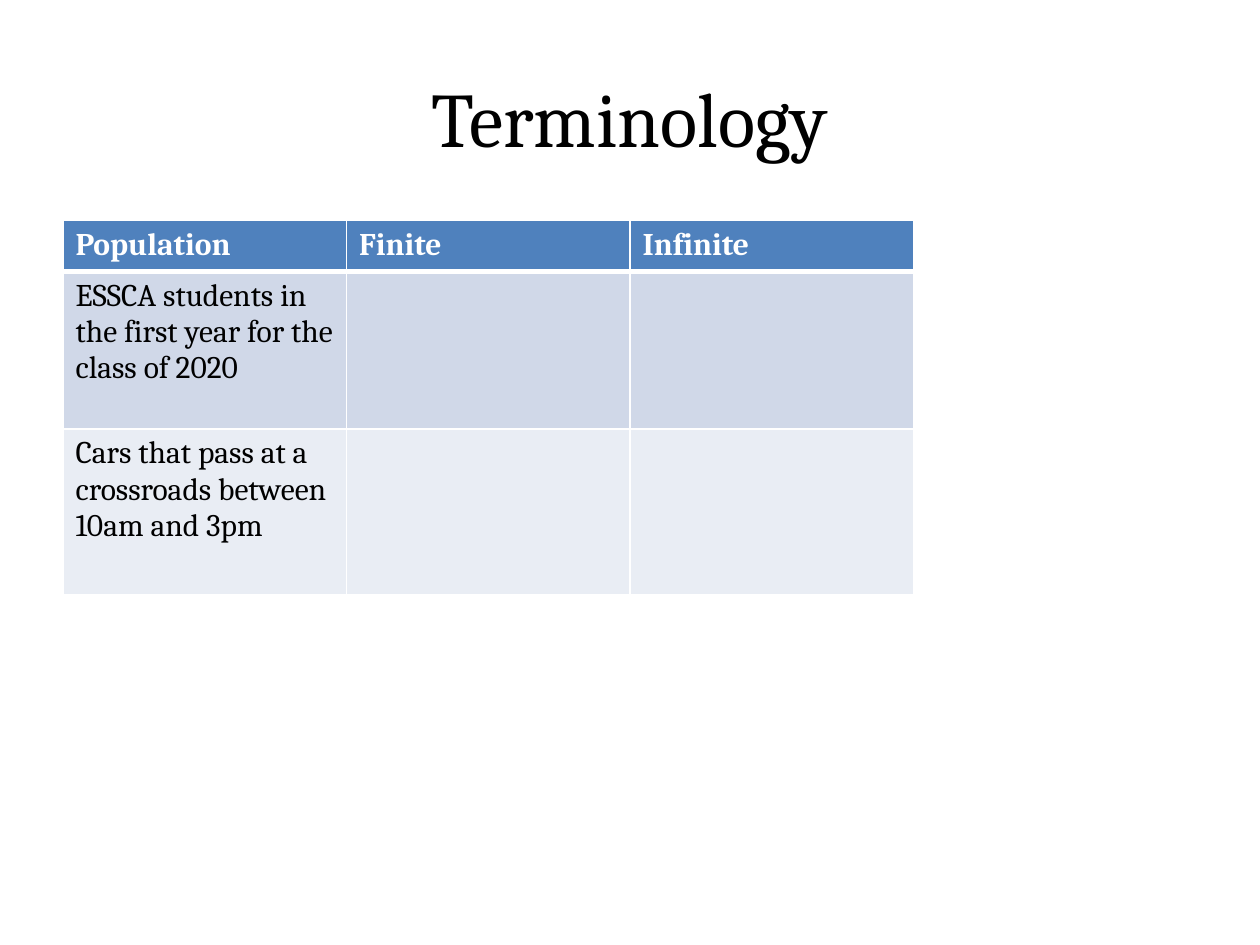
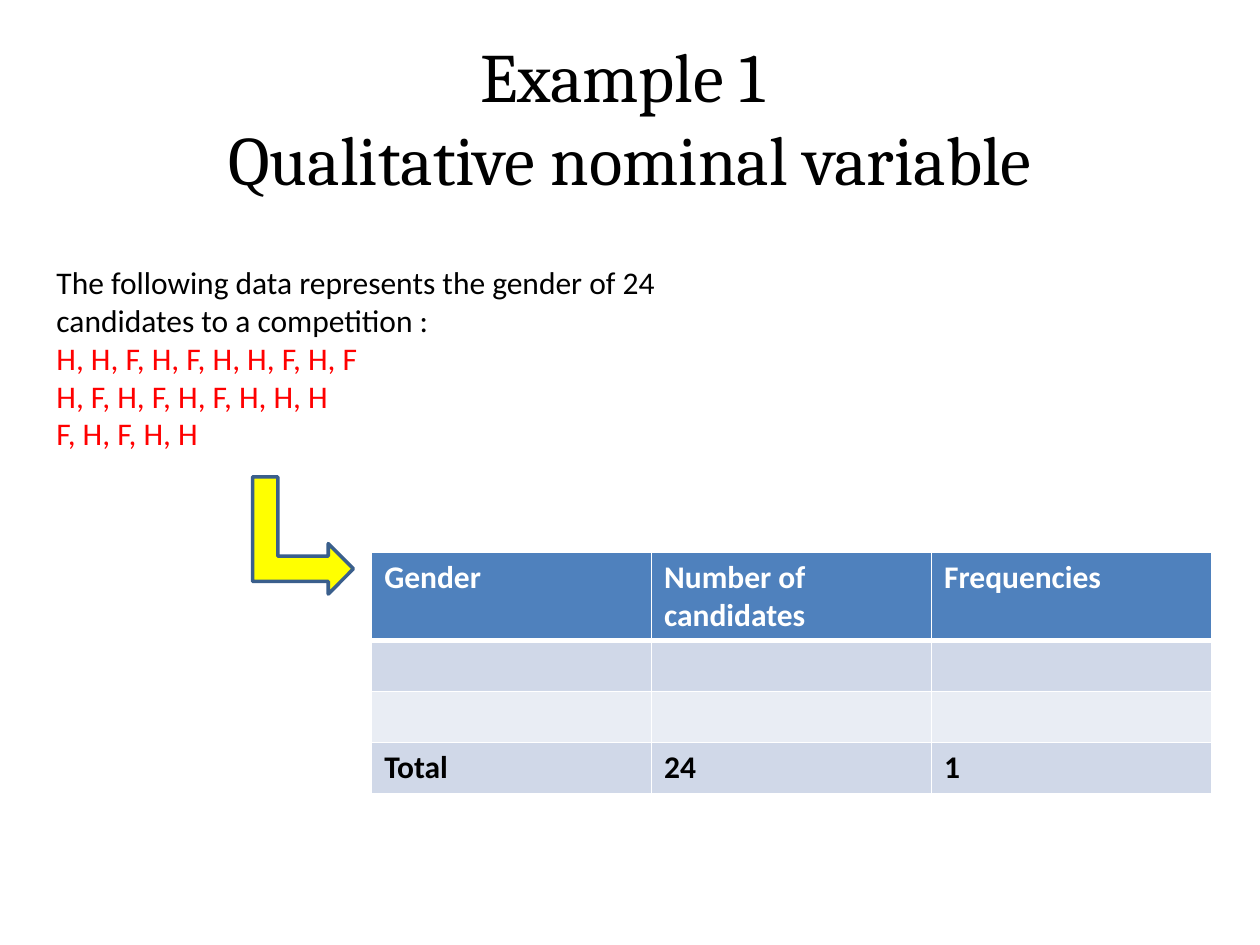
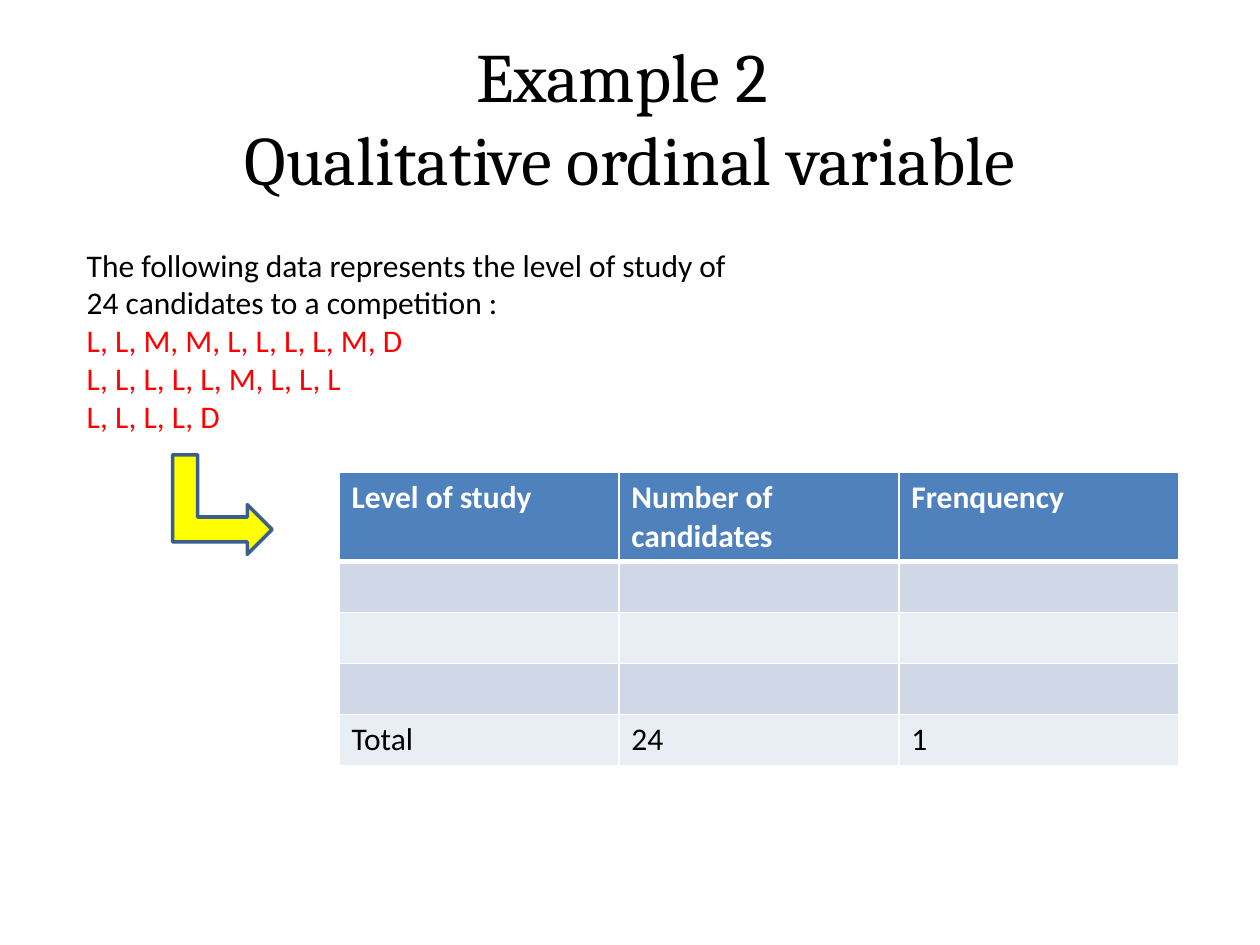
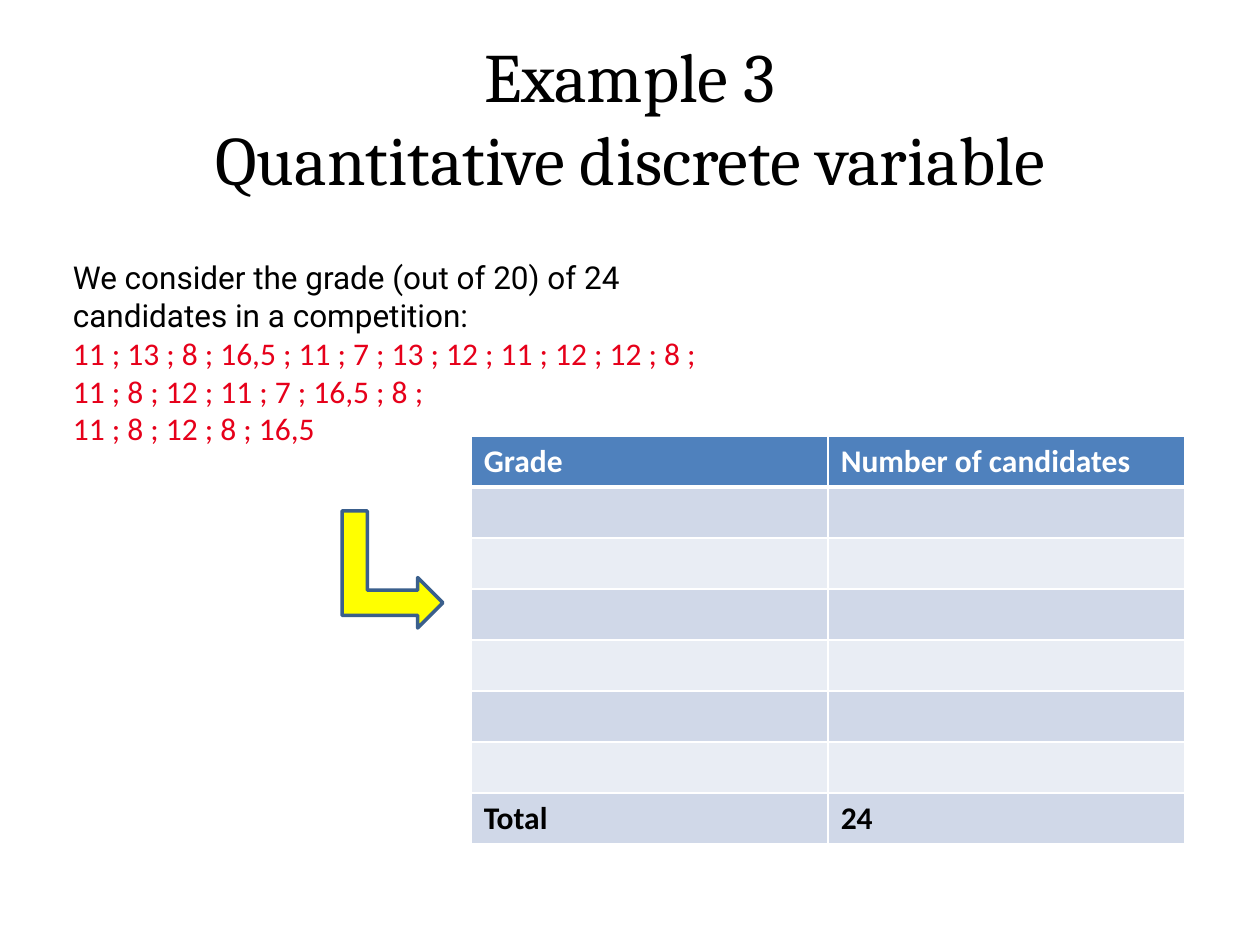
"""Build four statistics slides with shared titles, data texts, arrows and tables."""
import pptx
import pptx.dml.color
import pptx.enum.shapes
import pptx.enum.text
import pptx.oxml
import pptx.oxml.ns
import pptx.util

WIDTH, HEIGHT = pptx.util.Inches(10), pptx.util.Inches(7.5)
BLACK, WHITE, RED, CRIMSON = "000000", "FFFFFF", "FF0000", "E6001A"
HEADER, BANDS = "4F81BD", ("D0D8E8", "E9EDF4")
YELLOW, NAVY = "FFFF00", "3A5F8C"
SERIF, SANS = "Cambria", "Calibri"
ROW, TALL_HEADER = 5.4, 9.4


def color(value):
    """Turn a hex string into a colour."""
    return pptx.dml.color.RGBColor.from_string(value)


def across(share):
    """Give a percentage of the slide's width."""
    return round(WIDTH * share / 100)


def down(share):
    """Give a percentage of the slide's height."""
    return round(HEIGHT * share / 100)


def box(left, top, width, height):
    """Turn percentages of the slide into a position and a size."""
    return across(left), down(top), across(width), down(height)


def style(p, size, name, ink, bold=False):
    """Set the font of a paragraph."""
    p.font.size = pptx.util.Pt(size)
    p.font.name = name
    p.font.bold = bold
    p.font.color.rgb = color(ink)


def add_title(s, text, size=39.6):
    """Add the centred slide title."""
    tf = s.shapes.add_textbox(*box(5, 4, 90, 16.67)).text_frame
    tf.word_wrap = True
    tf.vertical_anchor = pptx.enum.text.MSO_ANCHOR.MIDDLE
    p = tf.paragraphs[0]
    p.text = text
    p.alignment = pptx.enum.text.PP_ALIGN.CENTER
    style(p, size, SERIF, BLACK)


def add_data(s, left, top, intro, series, ink=RED, intro_font=SANS):
    """Add an introduction followed by coloured lines of data."""
    tf = s.shapes.add_textbox(*box(left, top, 54.3, 21.6)).text_frame
    tf.word_wrap = True
    tf.text = "\n".join([intro, *series])
    for p in tf.paragraphs:
        style(p, 18, SANS, ink)
    style(tf.paragraphs[0], 18, intro_font, BLACK)


def add_arrow(s, left, top, width=9.3, height=10.67):
    """Add the bent arrow that leads from the data to the table."""
    kind = pptx.enum.shapes.MSO_SHAPE.BENT_UP_ARROW
    sp = s.shapes.add_shape(kind, *box(left, top, width, height))
    sp.rotation = 90
    sp.shadow.inherit = False
    sp.fill.solid()
    sp.fill.fore_color.rgb = color(YELLOW)
    sp.line.color.rgb = color(NAVY)
    sp.line.width = pptx.util.Pt(2)


def add_borders(cell, bottom):
    """Draw white cell borders, with the given bottom width in points."""
    props = cell._tc.get_or_add_tcPr()
    widths = {"lnL": 1, "lnR": 1, "lnT": 1, "lnB": bottom}
    for position, (tag, width) in enumerate(widths.items()):
        props.insert(position, pptx.oxml.parse_xml(
            f'<a:{tag} {pptx.oxml.ns.nsdecls("a")} w="{pptx.util.Pt(width)}">'
            f'<a:solidFill><a:srgbClr val="{WHITE}"/></a:solidFill></a:{tag}>'))


def add_grid(s, left, top, column, heights, rows, name=SANS, bold_total=False):
    """Add a banded table with a header row and equal columns."""
    count = len(rows[0])
    area = box(left, top, column * count, sum(heights))
    table = s.shapes.add_table(len(rows), count, *area).table
    for col in table.columns:
        col.width = across(column)
    for i, (height, texts) in enumerate(zip(heights, rows)):
        table.rows[i].height = down(height)
        head = i == 0
        bold = head or (bold_total and i == len(rows) - 1)
        for cell, text in zip(table.rows[i].cells, texts):
            cell.text = text
            style(cell.text_frame.paragraphs[0], 18, name,
                  WHITE if head else BLACK, bold)
            cell.fill.solid()
            cell.fill.fore_color.rgb = color(HEADER if head else BANDS[(i - 1) % 2])
            add_borders(cell, 3 if head or i == 1 and False else 1)


def form(header, blanks, total):
    """List the rows of a table whose middle rows are to be filled in."""
    return [header, *[[""] * len(header)] * blanks, total]


def add_terminology(prs, layout):
    """Add the slide on finite and infinite populations."""
    s = prs.slides.add_slide(layout)
    add_title(s, "Terminology", 44)
    add_grid(s, 5, 23.33, 22.5, [ROW, 16.7, 17.5], [
        ["Population", "Finite", "Infinite"],
        ["ESSCA students in the first year for the class of 2020", "", ""],
        ["Cars that pass at a crossroads between 10am and 3pm", "", ""],
    ], SERIF)


def add_nominal(prs, layout):
    """Add the example of a qualitative nominal variable."""
    s = prs.slides.add_slide(layout)
    add_title(s, "Example 1 \vQualitative nominal variable")
    add_arrow(s, 19.4, 51.33)
    add_data(s, 3.5, 27.2,
             "The following data represents the gender of 24 candidates to a competition :",
             ["H, H, F, H, F, H, H, F, H, F", "H, F, H, F, H, F, H, H, H", "F, H, F, H, H"])
    add_grid(s, 29.5, 58.4, 22.22, [TALL_HEADER] + [ROW] * 3,
             form(["Gender", "Number of candidates", "Frequencies"], 2,
                  ["Total", "24", "1"]), bold_total=True)


def add_ordinal(prs, layout):
    """Add the example of a qualitative ordinal variable."""
    s = prs.slides.add_slide(layout)
    add_title(s, "Example 2 \vQualitative ordinal variable")
    add_arrow(s, 13.7, 48.13, 7.9, 10.53)
    add_data(s, 5.9, 25.33,
             "The following data represents the level of study of 24 candidates to a competition :",
             ["L, L, M, M, L, L, L, L, M, D", "L, L, L, L, L, M, L, L, L", "L, L, L, L, D"])
    add_grid(s, 26.9, 50, 22.22, [TALL_HEADER] + [ROW] * 4,
             form(["Level of study", "Number of candidates", "Frenquency"], 3,
                  ["Total", "24", "1"]))


def add_discrete(prs, layout):
    """Add the example of a quantitative discrete variable."""
    s = prs.slides.add_slide(layout)
    add_title(s, "Example 3\vQuantitative discrete variable")
    add_arrow(s, 26.5, 54.93)
    add_data(s, 4.8, 26.67,
             "We consider the grade (out of 20) of 24 candidates in a competition:",
             ["11 ; 13 ; 8 ; 16,5 ; 11 ; 7 ; 13 ; 12 ; 11 ; 12 ; 12 ; 8 ; "
              "11 ; 8 ; 12 ; 11 ; 7 ; 16,5 ; 8 ;", "11 ; 8 ; 12 ; 8 ; 16,5"],
             CRIMSON, "Roboto")
    add_grid(s, 37.4, 46.13, 28.33, [ROW] * 8,
             form(["Grade", "Number of candidates"], 6, ["Total", "24"]),
             bold_total=True)


def main():
    """Build and save the presentation."""
    prs = pptx.Presentation()
    prs.slide_width, prs.slide_height = WIDTH, HEIGHT
    layout = prs.slide_layouts[6]
    for add in (add_terminology, add_nominal, add_ordinal, add_discrete):
        add(prs, layout)
    prs.save("out.pptx")


if __name__ == "__main__":
    main()
